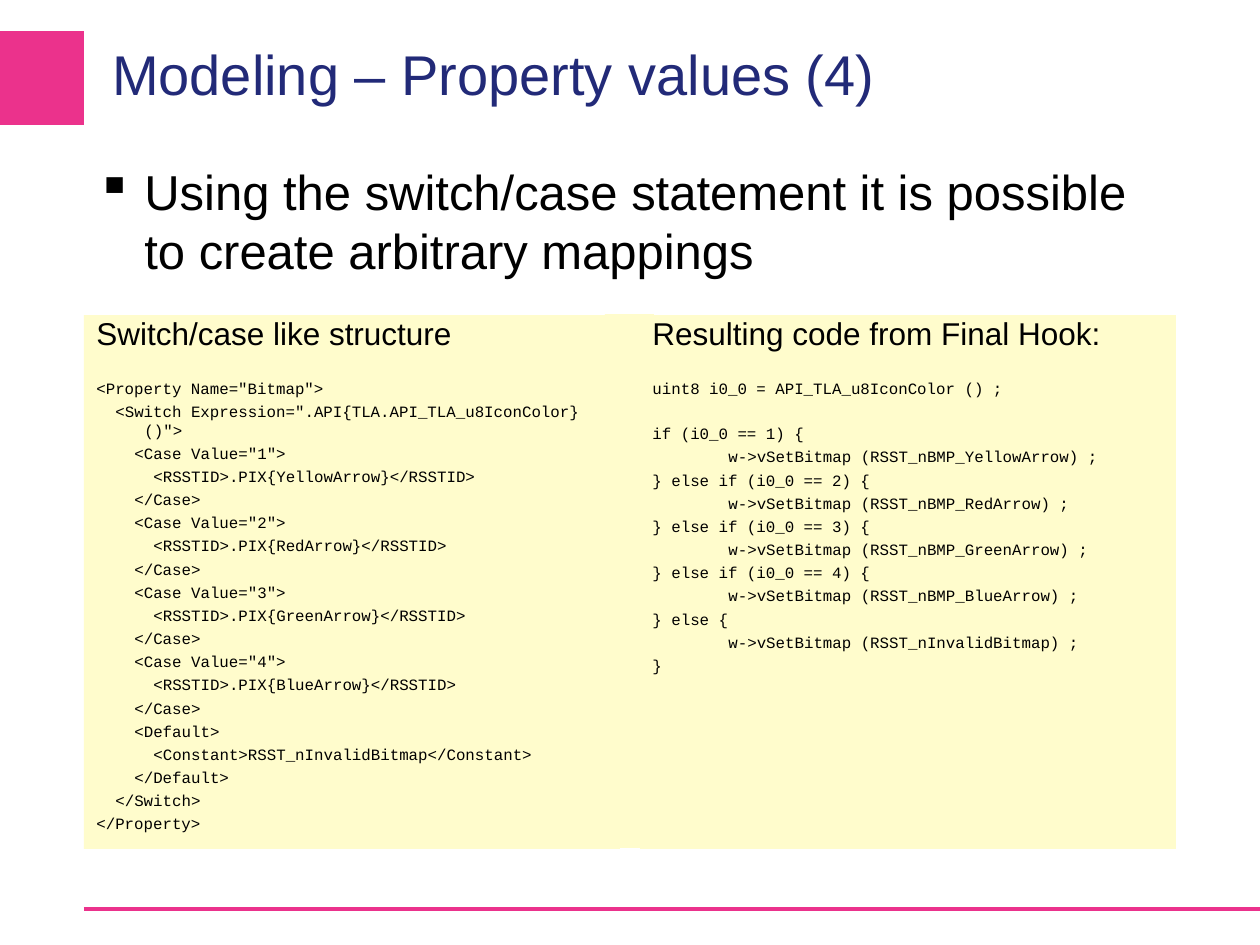
from lxml.etree import SubElement
from pptx import Presentation
from pptx.dml.color import RGBColor
from pptx.enum.shapes import MSO_CONNECTOR, MSO_SHAPE
from pptx.enum.text import MSO_ANCHOR, MSO_AUTO_SIZE, PP_ALIGN
from pptx.oxml.ns import qn
from pptx.util import Inches, Pt

PX_PER_INCH = 126
COLORS = {"pink": "EB328C", "navy": "222A78", "cream": "FFFCCC", "black": "000000"}
HANGING = 48   # px, hanging indent of all body text
STEP = 19      # px, one nesting level of code (two characters)

# Code lines: (nesting level, text, starts after a gap)
CASES = ["YellowArrow", "RedArrow", "GreenArrow", "BlueArrow"]
SWITCH_LINES = [
    (0, '<Property Name="Bitmap">', True),
    (1, '<Switch Expression=".API{TLA.API_TLA_u8IconColor}()">', False),
]
RESULT_LINES = [(0, "uint8 i0_0 = API_TLA_u8IconColor () ;", True)]
for number, color_name in enumerate(CASES, start=1):
    SWITCH_LINES += [
        (2, f'<Case Value="{number}">', False),
        (3, f"<RSSTID>.PIX{{{color_name}}}</RSSTID>", False),
        (2, "</Case>", False),
    ]
    opening = "if" if number == 1 else "} else if"
    RESULT_LINES += [
        (0, f"{opening} (i0_0 == {number}) {{", number == 1),
        (4, f"w->vSetBitmap (RSST_nBMP_{color_name}) ;", False),
    ]
SWITCH_LINES += [
    (2, "<Default>", False),
    (3, "<Constant>RSST_nInvalidBitmap</Constant>", False),
    (2, "</Default>", False),
    (1, "</Switch>", False),
    (0, "</Property>", False),
]
RESULT_LINES += [
    (0, "} else {", False),
    (4, "w->vSetBitmap (RSST_nInvalidBitmap) ;", False),
    (0, "}", False),
]


def px(value):
    return round(value * Inches(1) / PX_PER_INCH)


def rgb(name):
    return RGBColor.from_string(COLORS[name])


def set_font(paragraph, size, color="black", name="Arial"):
    paragraph.font.size = Pt(size)
    paragraph.font.name = name
    paragraph.font.color.rgb = rgb(color)


def set_indent(paragraph, first_line=0):
    """Hang wrapped lines; first_line is the px offset of the first one."""
    properties = paragraph._p.get_or_add_pPr()
    properties.set("marL", str(px(HANGING)))
    properties.set("indent", str(px(first_line - HANGING)))
    return properties


def add_rectangle(slide, box, color):
    shape = slide.shapes.add_shape(MSO_SHAPE.RECTANGLE, *map(px, box))
    shape.shadow.inherit = False
    shape.fill.solid()
    shape.fill.fore_color.rgb = rgb(color)
    shape.line.fill.background()
    return shape


def add_frame(slide, square_box, rule_box):
    add_rectangle(slide, square_box, "pink")
    left, top, width, _ = rule_box
    rule = slide.shapes.add_connector(
        MSO_CONNECTOR.STRAIGHT, px(left), px(top), px(left + width), px(top))
    rule.line.color.rgb = rgb("pink")
    rule.line.width = Pt(2)
    SubElement(rule._element.spPr, qn("a:effectLst"))


def place_title(slide, box, text):
    title = slide.shapes.title
    title.left, title.top, title.width, title.height = map(px, box)
    frame = title.text_frame
    frame.text = text
    frame.word_wrap = True
    frame.auto_size = MSO_AUTO_SIZE.NONE
    frame.vertical_anchor = MSO_ANCHOR.MIDDLE
    frame.margin_left = frame.margin_right = 0
    frame.margin_top = frame.margin_bottom = 0
    paragraph = frame.paragraphs[0]
    paragraph.alignment = PP_ALIGN.LEFT
    set_font(paragraph, 32, "navy")


def add_statement(slide, box, text):
    frame = slide.shapes.add_textbox(*map(px, box)).text_frame
    frame.word_wrap = True
    paragraph = frame.paragraphs[0]
    paragraph.text = text
    paragraph.space_before = Pt(3)
    set_font(paragraph, 28)
    SubElement(set_indent(paragraph), qn("a:buChar")).set("char", "▪")


def add_code_panel(slide, box, heading, lines):
    frame = add_rectangle(slide, box, "cream").text_frame
    frame.word_wrap = True
    frame.vertical_anchor = MSO_ANCHOR.TOP
    # Heading
    paragraph = frame.paragraphs[0]
    paragraph.text = heading
    paragraph.alignment = PP_ALIGN.LEFT
    paragraph.line_spacing = 0.8
    paragraph.space_before = Pt(1.4)
    set_font(paragraph, 18)
    set_indent(paragraph)
    # Code
    for level, text, after_gap in lines:
        paragraph = frame.add_paragraph()
        paragraph.text = text
        paragraph.alignment = PP_ALIGN.LEFT
        paragraph.space_before = Pt(15.3 if after_gap else 2.4)
        set_font(paragraph, 9, name="Courier New")
        set_indent(paragraph, level * STEP)


def add_code_comparison(slide, box):
    left, top, width, height = box
    panel_width, bridge_width = 536, 49
    # Strip that closes the gap between the panels
    bridge_left = left + (width - bridge_width) // 2
    add_rectangle(slide, (bridge_left, top - 1, bridge_width, height), "cream")
    add_code_panel(slide, (left, top, panel_width, height),
                   "Switch/case like structure", SWITCH_LINES)
    add_code_panel(slide, (left + width - panel_width, top, panel_width, height),
                   "Resulting code from Final Hook:", RESULT_LINES)


def main():
    presentation = Presentation()
    presentation.slide_width = px(1260)
    presentation.slide_height = px(945)
    slide = presentation.slides.add_slide(presentation.slide_layouts[5])
    add_frame(slide, (-1, 31, 85, 94), (84, 909, 1177, 0))
    place_title(slide, (112, 20, 856, 107), "Modeling – Property values (4)")
    add_code_comparison(slide, (84, 315, 1092, 534))
    add_statement(slide, (84, 155, 1092, 131),
                  "Using the switch/case statement it is possible "
                  "to create arbitrary mappings")
    presentation.save("out.pptx")


if __name__ == "__main__":
    main()
